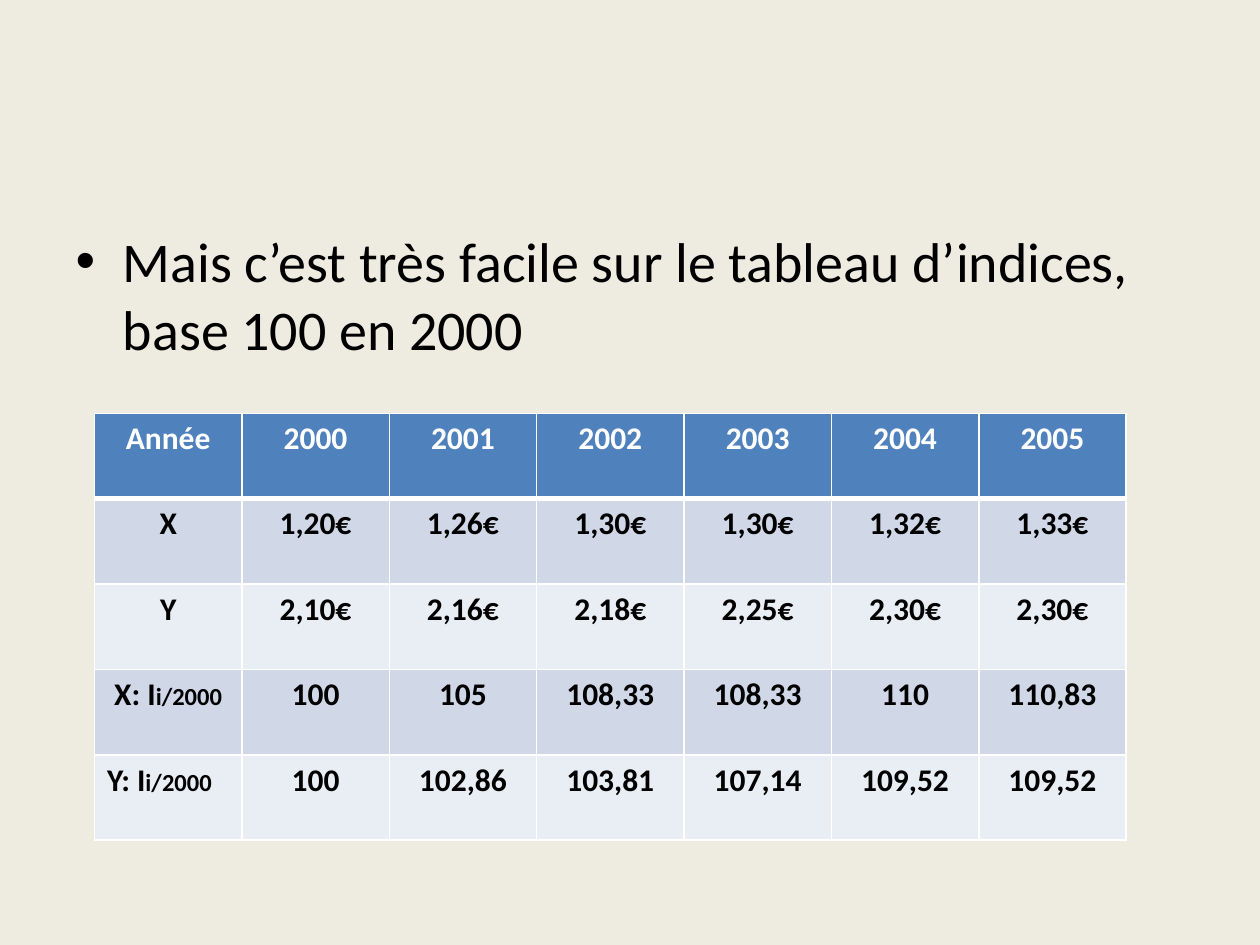
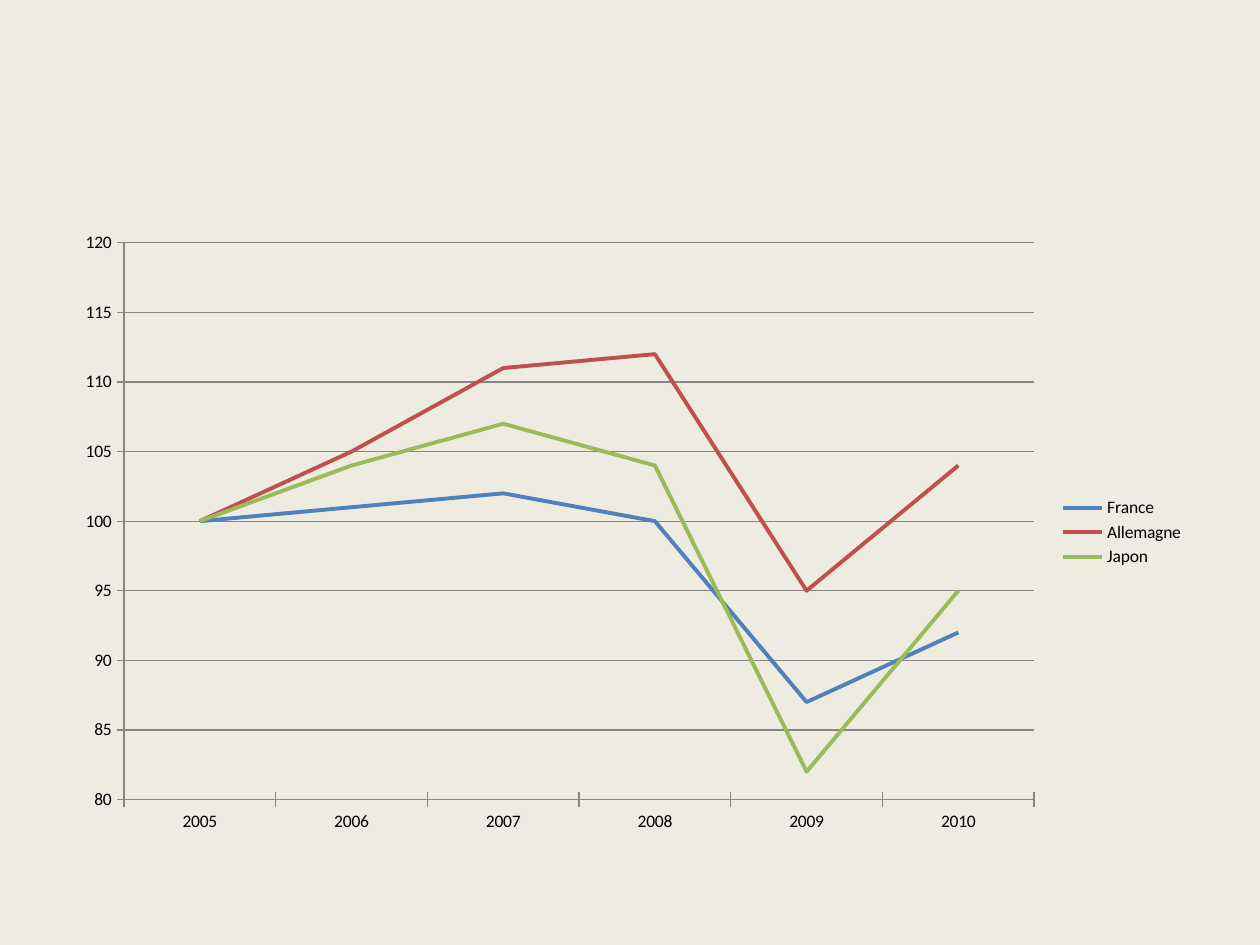
import dataclasses

import lxml.etree
import pptx
import pptx.chart.data
import pptx.dml.color
import pptx.enum.chart
import pptx.enum.text
import pptx.oxml.ns
import pptx.util

Pt = pptx.util.Pt


def rgb(value):
    return pptx.dml.color.RGBColor.from_string(value)


@dataclasses.dataclass(frozen=True)
class Theme:
    font: str = "Calibri"
    background: str = "EEECE1"
    text: str = "000000"
    white: str = "FFFFFF"
    header: str = "4F81BD"
    bands: tuple = ("D0D8E8", "E9EDF4")
    series: tuple = ("4F81BD", "C0504D", "9BBB59")
    axis: str = "868686"
    body_size: int = 32
    cell_size: int = 18
    index_size: int = 14
    chart_size: int = 10


THEME = Theme()
CONTENT_AREA = (Pt(36), Pt(126), Pt(648), Pt(356.4))
INDEX_SUFFIX = "i/2000"
PRICE_ROWS = (
    ("Année", "2000", "2001", "2002", "2003", "2004", "2005"),
    ("X", "1,20€", "1,26€", "1,30€", "1,30€", "1,32€", "1,33€"),
    ("Y", "2,10€", "2,16€", "2,18€", "2,25€", "2,30€", "2,30€"),
    ("X: I", "100", "105", "108,33", "108,33", "110", "110,83"),
    ("Y: I", "100", "102,86", "103,81", "107,14", "109,52", "109,52"),
)
YEARS = ("2005", "2006", "2007", "2008", "2009", "2010")
COUNTRY_INDICES = {
    "France": (100, 101, 102, 100, 87, 92),
    "Allemagne": (100, 105, 111, 112, 95, 104),
    "Japon": (100, 104, 107, 104, 82, 95),
}


def style_font(font, size, color=THEME.text, bold=False):
    font.name = THEME.font
    font.size = Pt(size)
    font.bold = bold
    font.color.rgb = rgb(color)


def add_statement(slide, sentence):
    statement = slide.placeholders[1]
    statement.left, statement.top, statement.width, statement.height = CONTENT_AREA
    statement.text_frame.text = sentence
    paragraph = statement.text_frame.paragraphs[0]
    paragraph.space_before = Pt(0)
    style_font(paragraph.runs[0].font, THEME.body_size)


def add_borders(cell, top, bottom):
    properties = cell._tc.get_or_add_tcPr()
    qn = pptx.oxml.ns.qn
    for side, width in (("L", 1), ("R", 1), ("T", top), ("B", bottom)):
        border = lxml.etree.SubElement(properties, qn(f"a:ln{side}"), w=str(Pt(width)))
        fill = lxml.etree.SubElement(border, qn("a:solidFill"))
        lxml.etree.SubElement(fill, qn("a:srgbClr"), val=THEME.white)


def fill_cell(cell, text, row):
    is_header = row == 0
    add_borders(cell, 3 if row == 1 else 1, 3 if is_header else 1)
    cell.fill.solid()
    cell.fill.fore_color.rgb = rgb(THEME.header if is_header else THEME.bands[(row - 1) % 2])
    cell.text_frame.text = text
    paragraph = cell.text_frame.paragraphs[0]
    paragraph.alignment = pptx.enum.text.PP_ALIGN.CENTER
    color = THEME.white if is_header else THEME.text
    style_font(paragraph.runs[0].font, THEME.cell_size, color, bold=True)
    if text.endswith(": I"):
        suffix = paragraph.add_run()
        suffix.text = INDEX_SUFFIX
        style_font(suffix.font, THEME.index_size, color, bold=True)


def add_price_table(slide, rows):
    column_width, row_height = Pt(84.24), Pt(48.8)
    columns = len(rows[0])
    table = slide.shapes.add_table(
        len(rows), columns, Pt(54), Pt(236.16),
        column_width * columns, row_height * len(rows)).table
    for column in table.columns:
        column.width = column_width
    for row, values in enumerate(rows):
        table.rows[row].height = row_height
        for column, value in enumerate(values):
            fill_cell(table.cell(row, column), value, row)
    last_label = table.cell(len(rows) - 1, 0).text_frame.paragraphs[0]
    last_label.alignment = pptx.enum.text.PP_ALIGN.LEFT


def style_line(line, color, width):
    line.color.rgb = rgb(color)
    line.width = Pt(width)


def add_index_chart(slide, years, countries):
    data = pptx.chart.data.CategoryChartData()
    data.categories = years
    for country, indices in countries.items():
        data.add_series(country, indices)
    chart = slide.shapes.add_chart(
        pptx.enum.chart.XL_CHART_TYPE.LINE, *CONTENT_AREA, data).chart
    style_font(chart.font, THEME.chart_size)
    chart.has_title = False
    chart.has_legend = True
    chart.legend.position = pptx.enum.chart.XL_LEGEND_POSITION.RIGHT
    chart.legend.include_in_layout = False
    chart.plots[0].vary_by_categories = False

    for axis in (chart.category_axis, chart.value_axis):
        axis.major_tick_mark = pptx.enum.chart.XL_TICK_MARK.CROSS
        style_line(axis.format.line, THEME.axis, 0.75)
    scale = chart.value_axis
    scale.minimum_scale, scale.maximum_scale, scale.major_unit = 80, 120, 5
    scale.has_major_gridlines = True
    style_line(scale.major_gridlines.format.line, THEME.axis, 0.75)

    for country, color in zip(chart.plots[0].series, THEME.series):
        country.smooth = False
        country.marker.style = pptx.enum.chart.XL_MARKER_STYLE.NONE
        style_line(country.format.line, color, 2.25)


def main():
    deck = pptx.Presentation()
    deck.slide_width, deck.slide_height = Pt(720), Pt(540)
    backdrop = deck.slide_master.background.fill
    backdrop.solid()
    backdrop.fore_color.rgb = rgb(THEME.background)

    prices = deck.slides.add_slide(deck.slide_layouts.get_by_name("Title and Content"))
    empty_title = prices.shapes.title.element
    empty_title.getparent().remove(empty_title)
    add_statement(prices, "Mais c’est très facile sur le tableau d’indices, base 100 en 2000")
    add_price_table(prices, PRICE_ROWS)

    comparison = deck.slides.add_slide(deck.slide_layouts.get_by_name("Blank"))
    add_index_chart(comparison, YEARS, COUNTRY_INDICES)
    deck.save("out.pptx")


if __name__ == "__main__":
    main()
